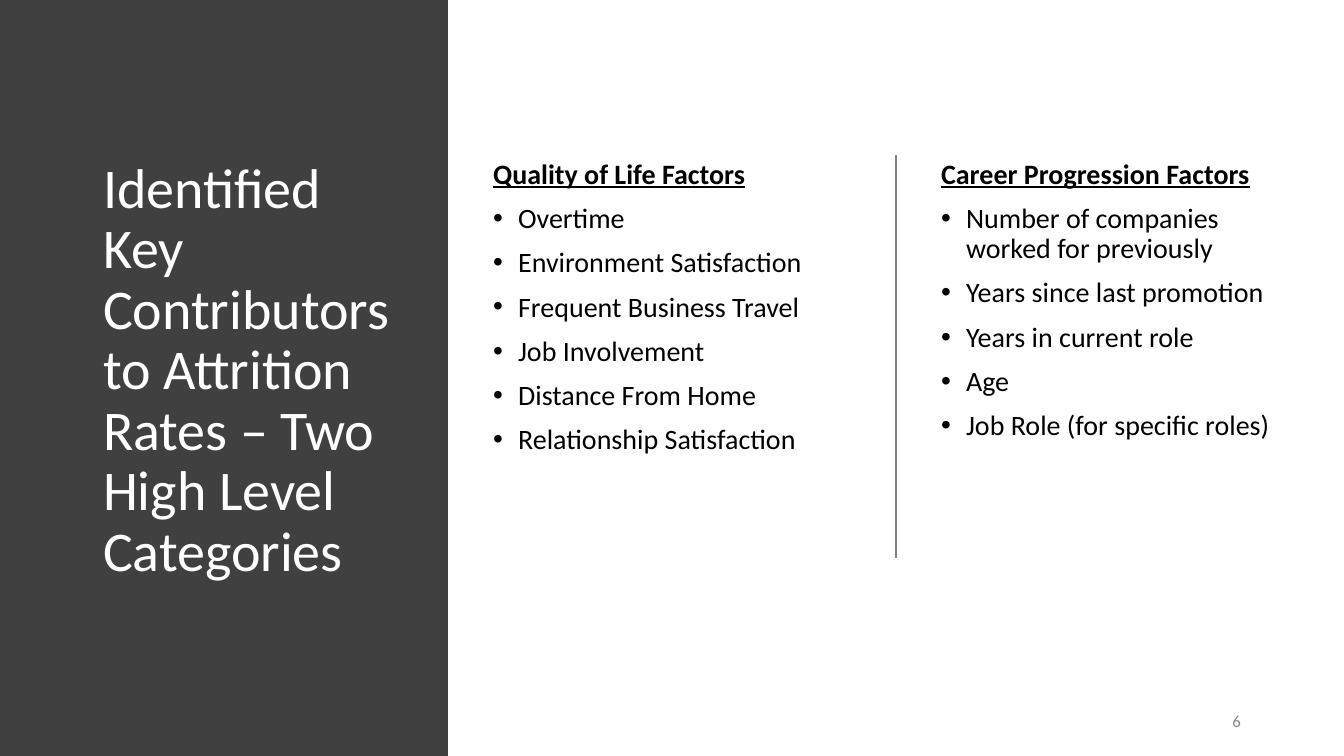
import pptx
import pptx.util
import pptx.dml.color
import pptx.enum.shapes
import pptx.enum.text
import pptx.oxml.ns
import lxml.etree

PX = 914400 / 100.8  # EMU in one px
INK = {"panel": "404040", "title": "FFFFFF", "text": "000000",
       "rule": "808080", "page": "8C8C8C"}
FACE = "Calibri"
INDENT = 25

TITLE = ("Identified Key Contributors to Attrition Rates – "
         "Two High Level Categories")
LIFE = ("Quality of Life Factors", [
    "Overtime", "Environment Satisfaction", "Frequent Business Travel",
    "Job Involvement", "Distance From Home", "Relationship Satisfaction"])
CAREER = ("Career Progression Factors", [
    "Number of companies worked for previously",
    "Years since last promotion", "Years in current role", "Age",
    "Job Role (for specific roles)"])


def emu(px):
    return pptx.util.Emu(round(px * PX))


def color(name):
    return pptx.dml.color.RGBColor.from_string(INK[name])


def place(shape, box):
    shape.left, shape.top, shape.width, shape.height = map(emu, box)


def style(para, size, ink, bold=False):
    font = para.font
    font.name, font.size = FACE, pptx.util.Pt(size)
    font.bold = font.underline = bold
    font.color.rgb = color(ink)


def setup(frame, anchor):
    frame.word_wrap = True
    frame.auto_size = pptx.enum.text.MSO_AUTO_SIZE.NONE
    frame.vertical_anchor = anchor


def bullet(para, mark):
    props = para._p.get_or_add_pPr()
    indent = emu(INDENT) if mark else 0
    props.set("marL", str(indent))
    props.set("indent", str(-indent))
    tag = pptx.oxml.ns.qn("a:buChar" if mark else "a:buNone")
    item = lxml.etree.SubElement(props, tag)
    if mark:
        item.set("char", mark)


def panel(slide, box):
    # Dark band, sent behind the title
    left, top, width, height = box
    band = slide.shapes.add_shape(
        pptx.enum.shapes.MSO_SHAPE.RECTANGLE, *map(emu, box))
    band.shadow.inherit = False
    band.fill.solid()
    band.fill.fore_color.rgb = color("panel")
    band.line.fill.background()
    slide.shapes._spTree.insert(2, band._element)

    # Title
    title = slide.shapes.title
    place(title, (left + 93, top + 155, width - 128, 481))
    setup(title.text_frame, pptx.enum.text.MSO_ANCHOR.TOP)
    title.text_frame.text = TITLE
    para = title.text_frame.paragraphs[0]
    para.alignment = pptx.enum.text.PP_ALIGN.LEFT
    para.line_spacing = 0.9
    style(para, 40, "title")


def factors(holder, box, group):
    # Underlined heading over a bulleted list
    place(holder, box)
    frame = holder.text_frame
    setup(frame, pptx.enum.text.MSO_ANCHOR.TOP)
    head, items = group
    for row, text in enumerate([head] + items):
        para = frame.add_paragraph() if row else frame.paragraphs[0]
        para.text = text
        para.line_spacing = 0.9
        para.space_before = pptx.util.Pt(10 if row else 0)
        bullet(para, "•" if row else None)
        style(para, 20, "text", bold=row == 0)


def content(slide, box):
    left, top, width, height = box
    first, second = list(slide.placeholders)[1:3]
    factors(first, (left + 35, top, 378, height), LIFE)
    factors(second, (left + 483, top, 353, height), CAREER)

    # Rule at the middle of the region
    mid = left + width // 2
    rule = slide.shapes.add_connector(
        pptx.enum.shapes.MSO_CONNECTOR.STRAIGHT,
        *map(emu, (mid, top, mid, top + 403)))
    rule.line.color.rgb = color("rule")
    rule.line.width = pptx.util.Pt(1)
    lxml.etree.SubElement(rule._element.spPr,
                          pptx.oxml.ns.qn("a:effectLst"))


def number(slide, box):
    # Page number
    frame = slide.shapes.add_textbox(*map(emu, box)).text_frame
    setup(frame, pptx.enum.text.MSO_ANCHOR.MIDDLE)
    para = frame.paragraphs[0]
    para.text = "6"
    para.alignment = pptx.enum.text.PP_ALIGN.RIGHT
    para.space_after = pptx.util.Pt(6)
    style(para, 12, "page")


def main():
    deck = pptx.Presentation()
    deck.slide_width, deck.slide_height = emu(1344), emu(756)
    slide = deck.slides.add_slide(deck.slide_layouts[3])
    panel(slide, (0, 0, 448, 756))
    content(slide, (448, 155, 896, 481))
    number(slide, (1014, 701, 237, 40))
    deck.save("out.pptx")


if __name__ == "__main__":
    main()
